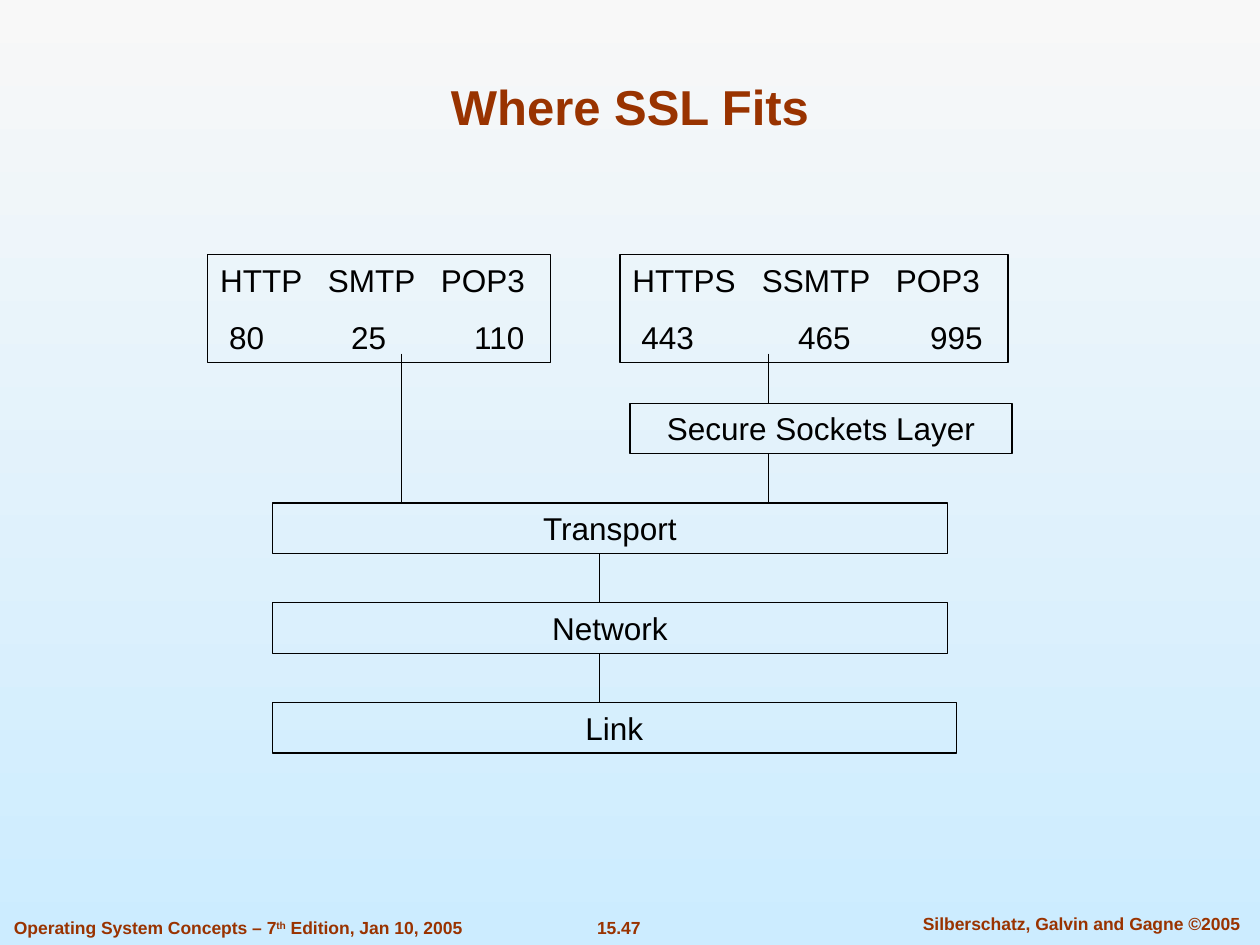
from dataclasses import dataclass

from lxml.etree import SubElement
from pptx import Presentation
from pptx.dml.color import RGBColor
from pptx.enum.shapes import MSO_CONNECTOR, MSO_SHAPE
from pptx.enum.text import MSO_ANCHOR, PP_ALIGN
from pptx.oxml.ns import qn
from pptx.util import Cm, Pt


@dataclass(frozen=True)
class Theme:
    font: str = "Arial"
    ink: RGBColor = RGBColor(0x00, 0x00, 0x00)
    accent: RGBColor = RGBColor(0x99, 0x33, 0x00)
    sky_top: RGBColor = RGBColor(0xF8, 0xF8, 0xF8)
    sky_bottom: RGBColor = RGBColor(0xCC, 0xEC, 0xFF)
    title_size: Pt = Pt(28)
    body_size: Pt = Pt(18)
    footer_size: Pt = Pt(10)
    row_gap: Pt = Pt(11.2)
    line_width: Pt = Pt(0.75)


class SlideBuilder:
    def __init__(self, page, theme):
        self.page = page
        self.theme = theme

    def background(self):
        fill = self.page.background.fill
        fill.gradient()
        fill.gradient_angle = 270
        colors = (self.theme.sky_top, self.theme.sky_bottom)
        for stop, color, position in zip(fill.gradient_stops, colors, (0, 1)):
            stop.color.rgb = color
            stop.position = position

    def style(self, para, size, color, bold=False, align=PP_ALIGN.CENTER):
        para.alignment = align
        para.font.name = self.theme.font
        para.font.size = size
        para.font.bold = bold
        para.font.color.rgb = color

    def label(self, place, spans, size, align=PP_ALIGN.CENTER, anchor=MSO_ANCHOR.TOP):
        """Add accent text; spans are (text, is_superscript) pairs."""
        box = self.page.shapes.add_textbox(*map(Cm, place))
        frame = box.text_frame
        frame.word_wrap = True
        frame.vertical_anchor = anchor
        para = frame.paragraphs[0]
        self.style(para, size, self.theme.accent, True, align)
        for text, superscript in spans:
            span = para.add_run()
            span.text = text
            if superscript:
                span._r.get_or_add_rPr().set("baseline", "30000")

    def outlined_box(self, place):
        box = self.page.shapes.add_shape(MSO_SHAPE.RECTANGLE, *map(Cm, place))
        box.shadow.inherit = False
        box.fill.background()
        box.line.color.rgb = self.theme.ink
        box.line.width = self.theme.line_width
        box.text_frame.word_wrap = True
        box.text_frame.vertical_anchor = MSO_ANCHOR.TOP
        return box.text_frame

    def layer(self, place, name):
        para = self.outlined_box(place).paragraphs[0]
        para.text = name
        self.style(para, self.theme.body_size, self.theme.ink)

    def protocols(self, place, rows):
        """Add a box of tabbed rows, each a (text, tab stops) pair."""
        frame = self.outlined_box(place)
        for index, (text, stops) in enumerate(rows):
            para = frame.add_paragraph() if index else frame.paragraphs[0]
            para.text = text
            if index:
                para.space_before = self.theme.row_gap
            tabs = SubElement(para._p.get_or_add_pPr(), qn("a:tabLst"))
            for stop in stops:
                SubElement(tabs, qn("a:tab"), pos=str(Cm(stop)), algn="l")
            self.style(para, self.theme.body_size, self.theme.ink, align=PP_ALIGN.LEFT)

    def vertical_line(self, x, top, bottom):
        line = self.page.shapes.add_connector(
            MSO_CONNECTOR.STRAIGHT, Cm(x), Cm(top), Cm(x), Cm(bottom))
        line.line.color.rgb = self.theme.ink
        line.line.width = self.theme.line_width
        SubElement(line._element.spPr, qn("a:effectLst"))


def main():
    deck = Presentation()
    deck.slide_width, deck.slide_height = Cm(25.4), Cm(19.05)
    theme = Theme()
    builder = SlideBuilder(deck.slides.add_slide(deck.slide_layouts[6]), theme)
    builder.background()

    builder.label((1.9, 1.12, 21.6, 1.73), [("Where SSL Fits", False)],
                  theme.title_size, anchor=MSO_ANCHOR.BOTTOM)
    builder.label((0.03, 18.36, 9.55, 0.69),
                  [("Operating System Concepts – 7", False), ("th", True),
                   (" Edition, Jan 10, 2005", False)],
                  theme.footer_size, PP_ALIGN.LEFT)
    builder.label((11.13, 18.36, 2.69, 0.69), [("15.47", False)], theme.footer_size)
    builder.label((18.03, 18.29, 7.54, 0.69),
                  [("Silberschatz, Galvin and Gagne ©2005", False)], theme.footer_size)

    builder.protocols((4.19, 5.13, 6.91, 2.18), [
        ("HTTP\tSMTP\tPOP3", (2.17, 4.45)),
        ("\t80\t25\t110", (0.18, 2.64, 5.12))])
    builder.protocols((12.5, 5.13, 7.82, 2.18), [
        ("HTTPS\tSSMTP\tPOP3", (2.61, 5.31)),
        ("\t443\t465\t995", (0.18, 3.34, 6))])

    height, pitch = 1.02, 2.01
    layers = [("Secure Sockets Layer", 12.7, 7.7), ("Transport", 5.49, 13.61),
              ("Network", 5.49, 13.61), ("Link", 5.49, 13.79)]
    tops = [8.13 + pitch * row for row in range(len(layers))]
    for (name, left, width), top in zip(layers, tops):
        builder.layer((left, top, width, height), name)

    for x, upper in ((15.49, 0), (12.09, 1), (12.09, 2)):
        builder.vertical_line(x, tops[upper] + height, tops[upper + 1])
    protocol_exit = 7.13
    builder.vertical_line(8.1, protocol_exit, tops[1])
    builder.vertical_line(15.49, protocol_exit, tops[0])

    deck.save("out.pptx")


if __name__ == "__main__":
    main()
